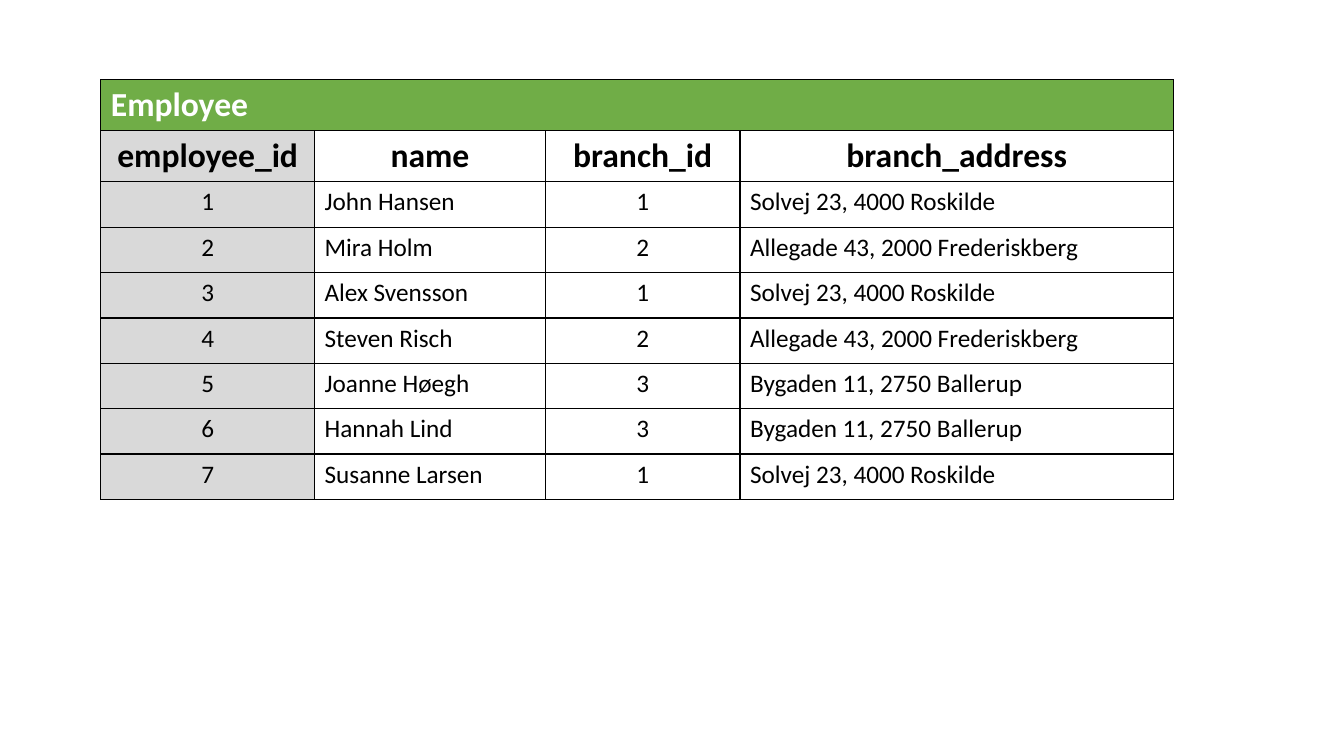
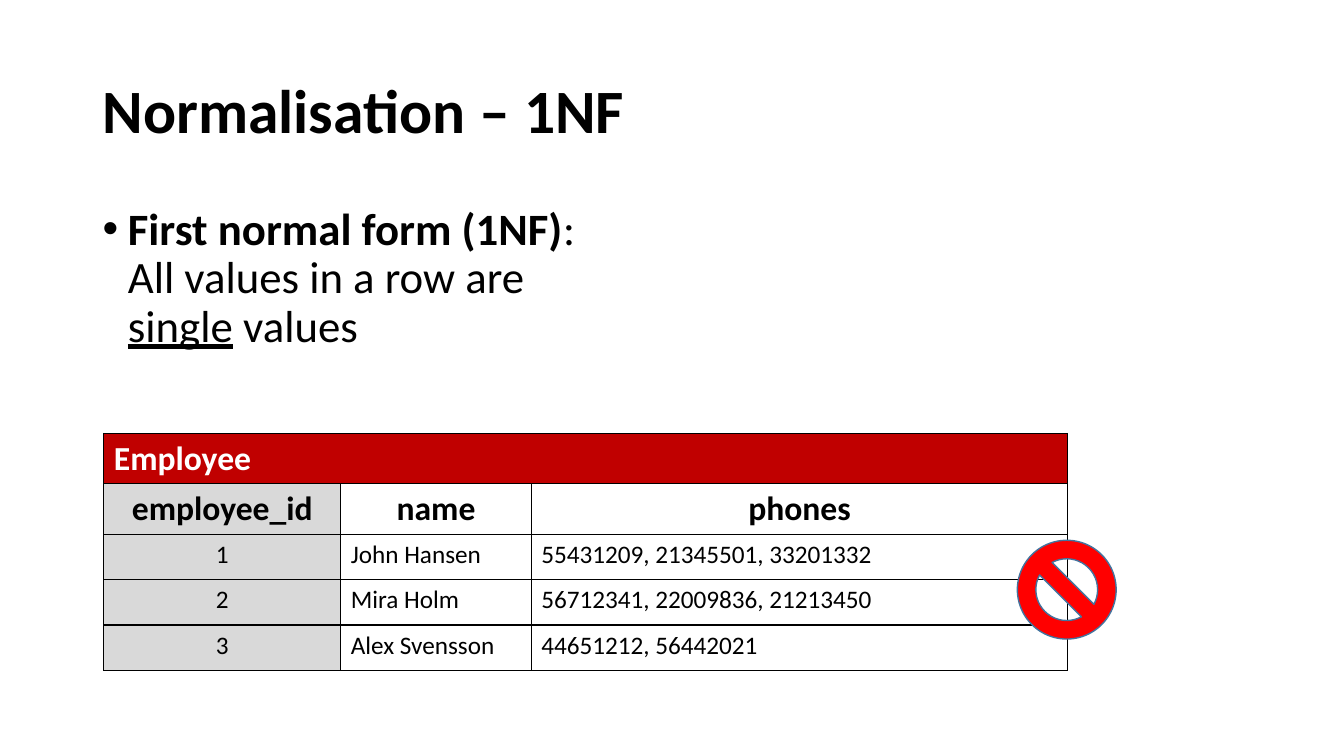
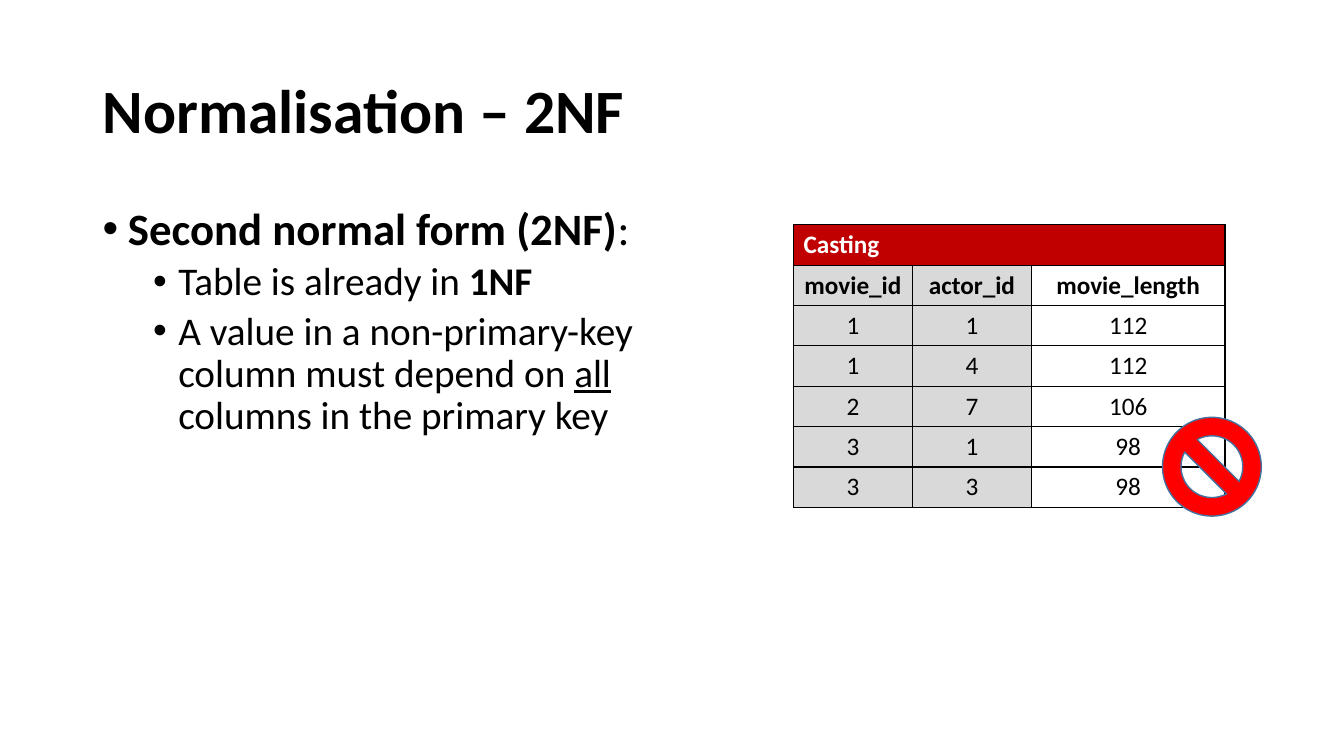
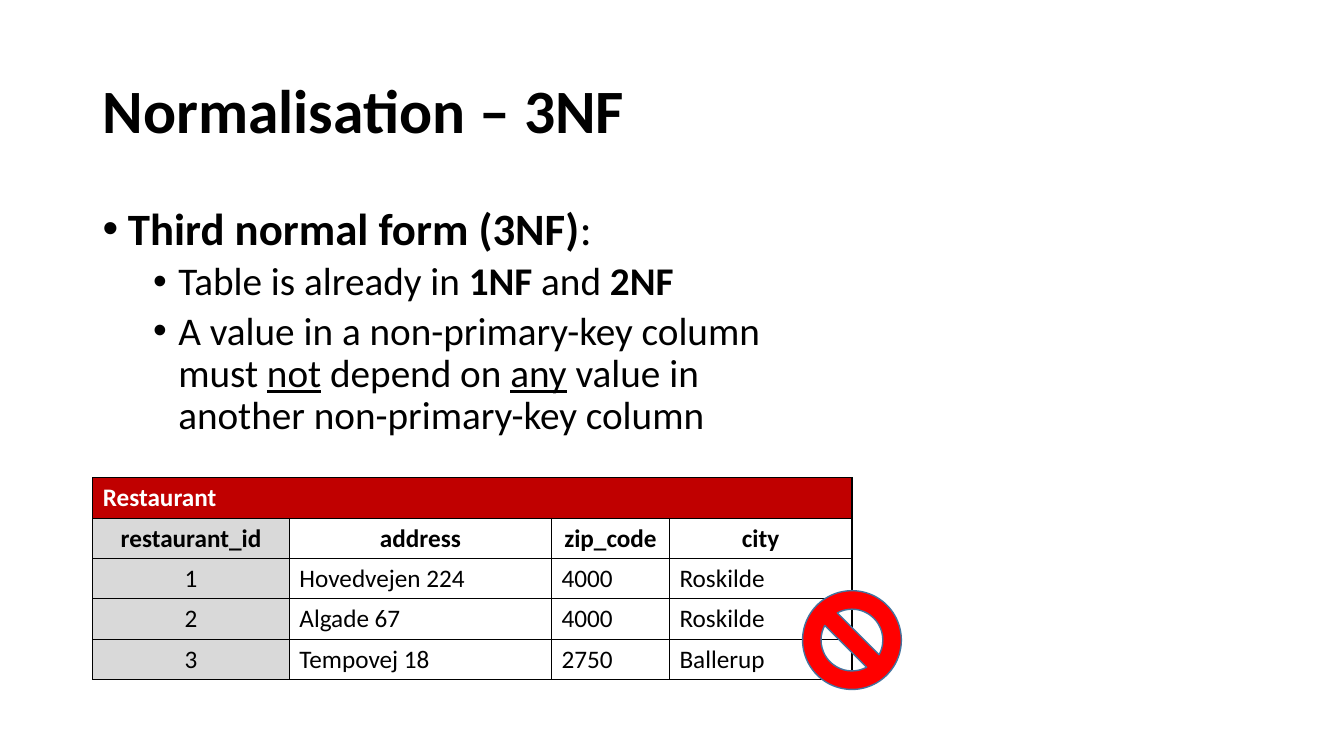
"""Build four slides on database normalisation."""
from dataclasses import dataclass

from lxml import etree
from pptx import Presentation
from pptx import util as u
from pptx.dml.color import RGBColor
from pptx.enum import shapes, text
from pptx.oxml import ns


@dataclass(frozen=True)
class Theme:
    font: str = "Calibri"
    ink: str = "000000"
    paper: str = "FFFFFF"
    key: str = "D9D9D9"
    good: str = "70AD47"
    bad: str = "C00000"
    ban: str = "FF0000"
    ban_edge: str = "43739E"
    title: int = 44
    level_sizes: tuple = (32, 28)
    level_gaps: tuple = (10, 5)
    heading: int = 24
    data: int = 18
    line_spacing: float = 0.9
    border: float = 1
    margin: float = 0.92
    sign: float = 0.98


class Deck:
    def __init__(self, theme):
        self.theme = theme
        self.prs = Presentation()
        self.prs.slide_width = u.Inches(13.33)
        self.prs.slide_height = u.Inches(7.5)
        self.slide = None

    def style(self, run, size, color, bold=False, underline=False):
        run.font.name = self.theme.font
        run.font.size = u.Pt(size)
        run.font.bold = bold
        run.font.underline = underline
        run.font.color.rgb = RGBColor.from_string(color)

    def new_slide(self, title=None):
        layout = self.prs.slide_layouts[5 if title else 6]
        self.slide = self.prs.slides.add_slide(layout)
        if title:
            self.title(title)

    def title(self, wording):
        heading = self.slide.shapes.title
        heading.left, heading.top = u.Inches(self.theme.margin), u.Inches(0.4)
        heading.width, heading.height = u.Inches(11.5), u.Inches(1.45)
        frame = heading.text_frame
        frame.text = wording
        frame.auto_size = text.MSO_AUTO_SIZE.NONE
        frame.vertical_anchor = text.MSO_ANCHOR.MIDDLE
        paragraph = frame.paragraphs[0]
        paragraph.alignment = text.PP_ALIGN.LEFT
        paragraph.line_spacing = self.theme.line_spacing
        self.style(paragraph.runs[0], self.theme.title, self.theme.ink, bold=True)

    def bullets(self, width, height, points):
        body = self.slide.shapes.add_textbox(
            u.Inches(self.theme.margin), u.Inches(2), u.Inches(width), u.Inches(height))
        frame = body.text_frame
        frame.word_wrap = True
        for index, (level, pieces) in enumerate(points):
            paragraph = frame.add_paragraph() if index else frame.paragraphs[0]
            self.bullet(paragraph, level)
            paragraph.line_spacing = self.theme.line_spacing
            if index:
                paragraph.space_before = u.Pt(self.theme.level_gaps[level])
            for wording, mark in pieces:
                run = paragraph.add_run()
                run.text = wording
                self.style(run, self.theme.level_sizes[level], self.theme.ink,
                           bold=mark == "b", underline=mark == "u")

    def bullet(self, paragraph, level):
        paragraph.level = level
        properties = paragraph._p.get_or_add_pPr()
        properties.set("marL", str(u.Inches(0.25 + 0.5 * level)))
        properties.set("indent", str(u.Inches(-0.25)))
        font = etree.SubElement(properties, ns.qn("a:buFont"))
        font.set("typeface", "Arial")
        etree.SubElement(properties, ns.qn("a:buChar")).set("char", "•")

    def table(self, left, top, widths, name, columns, records, color,
              heading_size, row_heights, keys=1, centred=(0,)):
        heading_height, data_height = row_heights
        heights = [heading_height] * 2 + [data_height] * len(records)
        grid = self.slide.shapes.add_table(
            len(heights), len(widths), u.Inches(left), u.Inches(top),
            u.Inches(sum(widths)), u.Inches(sum(heights))).table
        grid.first_row = grid.horz_banding = False
        for column, width in zip(grid.columns, widths):
            column.width = u.Inches(width)
        for row, height in zip(grid.rows, heights):
            row.height = u.Inches(height)
        for index in range(len(widths)):
            self.cell(grid.cell(0, index), "" if index else name, color,
                      heading_size, self.theme.paper, bold=True)
            fill = self.theme.key if index < keys else self.theme.paper
            self.cell(grid.cell(1, index), columns[index], fill, heading_size,
                      self.theme.ink, bold=True, centre=True)
            for number, record in enumerate(records, 2):
                self.cell(grid.cell(number, index), record[index], fill,
                          self.theme.data, self.theme.ink, centre=index in centred)
        grid.cell(0, 0).merge(grid.cell(0, len(widths) - 1))

    def cell(self, cell, wording, fill, size, color, bold=False, centre=False):
        properties = cell._tc.get_or_add_tcPr()
        for side in ("a:lnL", "a:lnR", "a:lnT", "a:lnB"):
            line = etree.SubElement(properties, ns.qn(side))
            line.set("w", str(u.Pt(self.theme.border)))
            paint = etree.SubElement(line, ns.qn("a:solidFill"))
            etree.SubElement(paint, ns.qn("a:srgbClr")).set("val", self.theme.ink)
        cell.fill.solid()
        cell.fill.fore_color.rgb = RGBColor.from_string(fill)
        cell.text_frame.text = wording
        paragraph = cell.text_frame.paragraphs[0]
        paragraph.alignment = text.PP_ALIGN.CENTER if centre else text.PP_ALIGN.LEFT
        for run in paragraph.runs:
            self.style(run, size, color, bold)

    def ban_sign(self, left, top):
        size = u.Inches(self.theme.sign)
        sign = self.slide.shapes.add_shape(
            shapes.MSO_SHAPE.NO_SYMBOL, u.Inches(left), u.Inches(top), size, size)
        sign.shadow.inherit = False
        sign.fill.solid()
        sign.fill.fore_color.rgb = RGBColor.from_string(self.theme.ban)
        sign.line.color.rgb = RGBColor.from_string(self.theme.ban_edge)
        sign.line.width = u.Pt(1)


def main():
    theme = Theme()
    deck = Deck(theme)
    large = dict(heading_size=theme.heading, row_heights=(0.5, 0.45))
    small = dict(heading_size=theme.data, row_heights=(0.4, 0.4))
    branches = {
        "1": "Solvej 23, 4000 Roskilde",
        "2": "Allegade 43, 2000 Frederiskberg",
        "3": "Bygaden 11, 2750 Ballerup",
    }
    staff = [("John Hansen", "1"), ("Mira Holm", "2"), ("Alex Svensson", "1"),
             ("Steven Risch", "2"), ("Joanne Høegh", "3"), ("Hannah Lind", "3"),
             ("Susanne Larsen", "1")]

    deck.new_slide()
    deck.table(1, 0.79, (2.12, 2.29, 1.93, 4.3), "Employee",
               ("employee_id", "name", "branch_id", "branch_address"),
               [(str(number), name, branch, branches[branch])
                for number, (name, branch) in enumerate(staff, 1)],
               theme.good, centred=(0, 2), **large)

    deck.new_slide("Normalisation – 1NF")
    deck.bullets(4.91, 2.16, [
        (0, [("First normal form (1NF)", "b"), (": All values in a row are ", ""),
             ("single", "u"), (" values", "")]),
    ])
    deck.table(1.03, 4.3, (2.35, 1.89, 5.32), "Employee",
               ("employee_id", "name", "phones"),
               [("1", "John Hansen", "55431209, 21345501, 33201332"),
                ("2", "Mira Holm", "56712341, 22009836, 21213450"),
                ("3", "Alex Svensson", "44651212, 56442021")],
               theme.bad, **large)
    deck.ban_sign(10.09, 5.36)

    deck.new_slide("Normalisation – 2NF")
    deck.bullets(5.77, 4.51, [
        (0, [("Second normal form (2NF)", "b"), (":", "")]),
        (1, [("Table is already in ", ""), ("1NF", "b")]),
        (1, [("A value in a non-primary-key column must depend on ", ""),
             ("all", "u"), (" columns in the primary key", "")]),
    ])
    deck.table(7.87, 2.23, (1.18, 1.18, 1.92), "Casting",
               ("movie_id", "actor_id", "movie_length"),
               [("1", "1", "112"), ("1", "4", "112"), ("2", "7", "106"),
                ("3", "1", "98"), ("3", "3", "98")],
               theme.bad, keys=2, centred=(0, 1, 2), **small)
    deck.ban_sign(11.53, 4.14)

    deck.new_slide("Normalisation – 3NF")
    deck.bullets(6.85, 4.51, [
        (0, [("Third normal form (3NF)", "b"), (":", "")]),
        (1, [("Table is already in ", ""), ("1NF ", "b"), ("and", ""), (" 2NF", "b")]),
        (1, [("A value in a non-primary-key column must ", ""), ("not", "u"),
             (" depend on ", ""), ("any", "u"),
             (" value in another non-primary-key column", "")]),
    ])
    deck.table(theme.margin, 4.74, (1.95, 2.6, 1.17, 1.81), "Restaurant",
               ("restaurant_id", "address", "zip_code", "city"),
               [("1", "Hovedvejen 224", "4000", "Roskilde"),
                ("2", "Algade 67", "4000", "Roskilde"),
                ("3", "Tempovej 18", "2750", "Ballerup")],
               theme.bad, **small)
    deck.ban_sign(7.96, 5.86)

    deck.prs.save("out.pptx")


if __name__ == "__main__":
    main()
